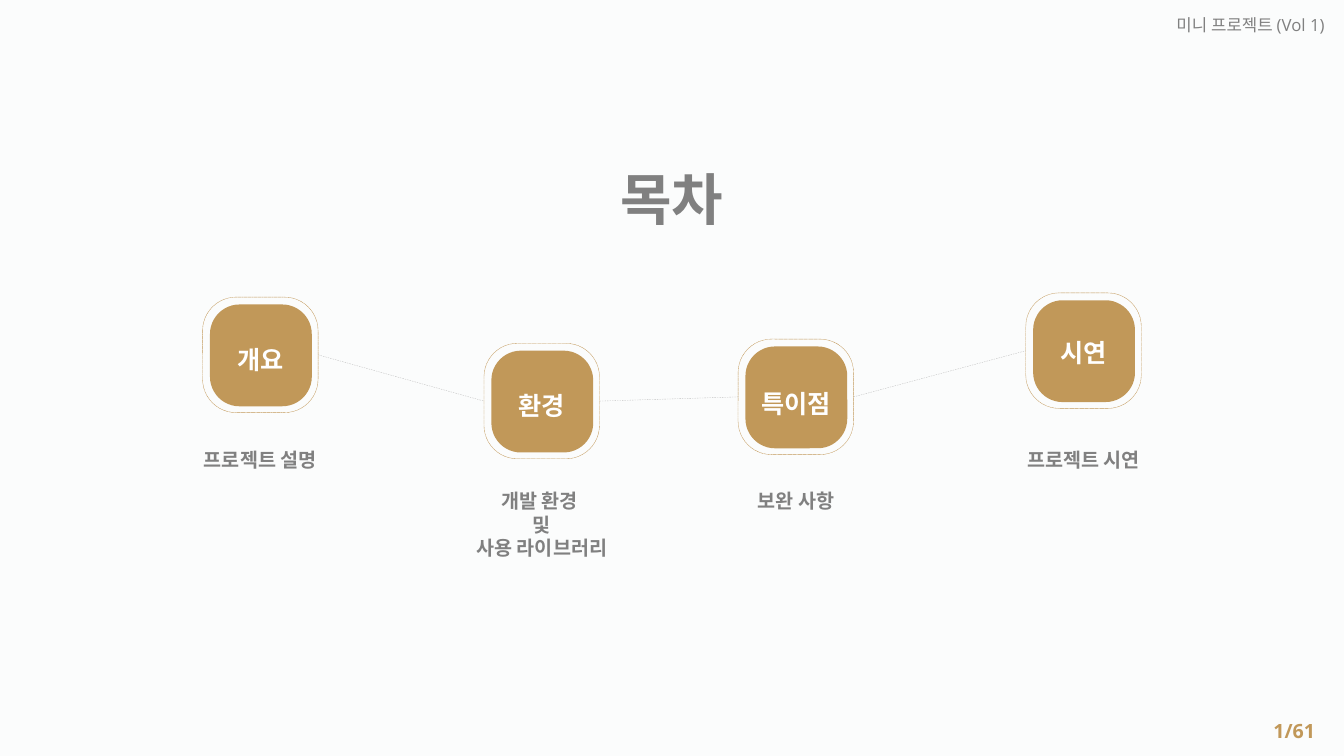
"""Build the table-of-contents slide with four linked badges."""
from lxml import etree
from pptx import Presentation
from pptx.dml.color import RGBColor
from pptx.enum.dml import MSO_LINE
from pptx.enum.shapes import MSO_CONNECTOR, MSO_SHAPE
from pptx.enum.text import PP_ALIGN
from pptx.oxml.ns import qn
from pptx.util import Pt

PX = 9525
ROUNDED = MSO_SHAPE.ROUNDED_RECTANGLE
STRAIGHT = MSO_CONNECTOR.STRAIGHT
DASH = MSO_LINE.DASH
SQUARE_DOT = MSO_LINE.SQUARE_DOT
CENTER = PP_ALIGN.CENTER
RIGHT = PP_ALIGN.RIGHT

GOLD = "C19859"
GRAY = "808080"
LIGHT_GRAY = "BFBFBF"
WHITE = "FFFFFF"
BACKGROUND = "FBFCFC"

RING = 110
TILE = 97
TILE_INSET = 7
CAPTION_WIDTH = 238
LINE_HEIGHT = 23


def rgb(value):
    return RGBColor.from_string(value)


def add_text(left, top, width, height, lines, size, color, align=CENTER, bold=True, wrap=True):
    box = slide.shapes.add_textbox(left * PX, top * PX, width * PX, height * PX)
    frame = box.text_frame
    frame.word_wrap = wrap
    for index, line in enumerate(lines):
        paragraph = frame.add_paragraph() if index else frame.paragraphs[0]
        paragraph.alignment = align
        run = paragraph.add_run()
        run.text = line
        run.font.name = "Open Sans"
        run.font.size = Pt(size)
        run.font.bold = bold
        run.font.color.rgb = rgb(color)


presentation = Presentation()
presentation.slide_width = 1280 * PX
presentation.slide_height = 720 * PX
slide = presentation.slides.add_slide(presentation.slide_layouts[6])
slide.background.fill.solid()
slide.background.fill.fore_color.rgb = rgb(BACKGROUND)

add_text(877, 9, 394, 29, ["미니 프로젝트 (Vol 1)"], 12, GRAY, RIGHT, bold=False)
add_text(0, 152, 1280, 74, ["목차"], 40, GRAY)
add_text(1202, 680, 60, 33, ["1/61"], 14, GOLD, RIGHT, wrap=False)

sections = [
    (193, 283, 323, "개요", 422, ["프로젝트 설명"]),
    (461, 327, 367, "환경", 461, ["개발 환경 ", "및", "사용 라이브러리"]),
    (703, 323, 365, "특이점", 461, ["보완 사항"]),
    (977, 279, 317, "시연", 422, ["프로젝트 시연"]),
]

for (left, top, *_), (next_left, next_top, *_) in zip(sections, sections[1:]):
    link = slide.shapes.add_connector(
        STRAIGHT, (left + RING) * PX, (top + RING // 2) * PX,
        next_left * PX, (next_top + RING // 2) * PX)
    link.line.color.rgb = rgb(LIGHT_GRAY)
    link.line.width = Pt(0.25)
    link.line.dash_style = DASH
    etree.SubElement(link._element.spPr, qn("a:effectLst"))

for left, top, label_top, label, caption_top, caption in sections:
    tile = slide.shapes.add_shape(
        ROUNDED, (left + TILE_INSET) * PX, (top + TILE_INSET) * PX, TILE * PX, TILE * PX)
    tile.fill.solid()
    tile.fill.fore_color.rgb = rgb(GOLD)
    tile.line.fill.background()

    ring = slide.shapes.add_shape(ROUNDED, left * PX, top * PX, RING * PX, RING * PX)
    ring.fill.background()
    ring.line.color.rgb = rgb(GOLD)
    ring.line.width = Pt(0.25)
    ring.line.dash_style = SQUARE_DOT

    for shape in (tile, ring):
        shape.adjustments[0] = 0.29
        shape.shadow.inherit = False

    add_text(left, label_top, RING, 38, [label], 18, WHITE)
    caption_left = left + (RING - CAPTION_WIDTH) // 2
    caption_height = 10 + LINE_HEIGHT * len(caption)
    add_text(caption_left, caption_top, CAPTION_WIDTH, caption_height, caption, 14, GRAY)

presentation.save("out.pptx")
